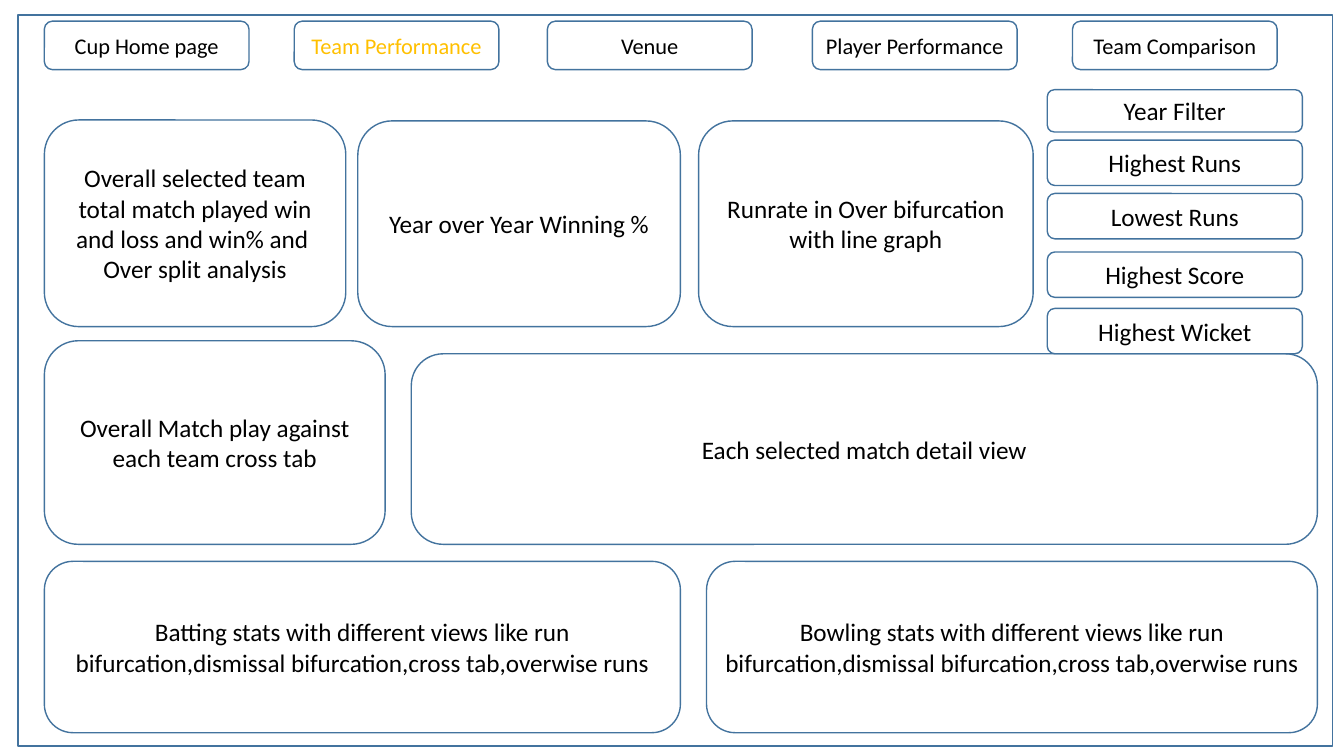
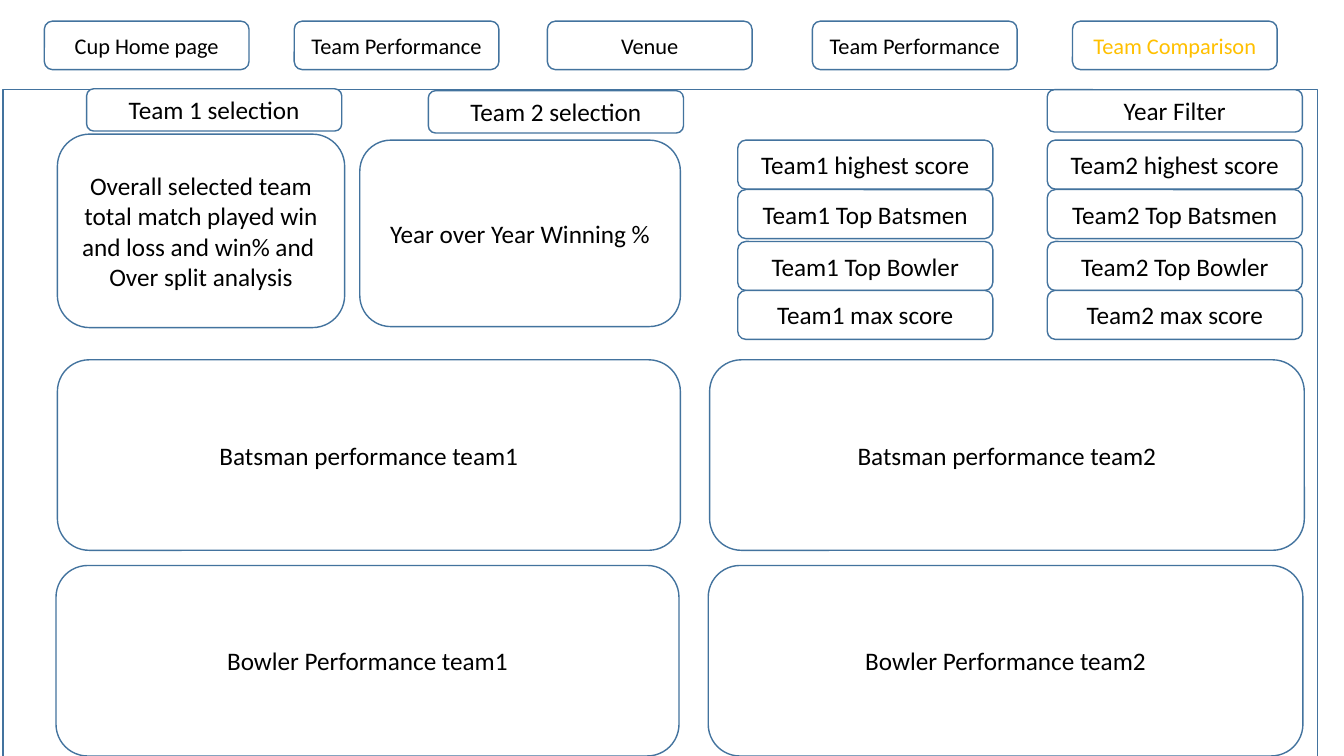
from pptx import Presentation
from pptx.dml.color import RGBColor
from pptx.enum.shapes import MSO_SHAPE as Preset
from pptx.enum.text import MSO_ANCHOR as Anchor, PP_ALIGN as Align
from pptx.util import Pt

COLORS = {"paper": "FFFFFF", "outline": "43739E", "text": "000000", "active": "FFC000"}
FONT = "Calibri"
NAV_SIZE, PANEL_SIZE = 16, 18

# Shared measures, in points
FRAME_SIZE = (939, 522)
NAV_BOX = (31.7, 15.1, 146.2, 34.6)
NAV_OFFSETS = (0, 178.5, 359.3, 548.6, 734.4)
CARD_WIDTH, SELECTOR_HEIGHT = 182.2, 30.2
RIGHT_CARDS_LEFT, FILTER_TOP, CARDS_TOP = 748.1, 64.1, 100.1

SUMMARY = ("Overall selected team total match played win and loss and win% and ",
           "Over split analysis")
YEARLY_WINS = "Year over Year Winning %"


def rgb(name):
    return RGBColor.from_string(COLORS[name])


def outlined(slide, preset, box):
    """Add a white shape with the shared thin outline."""
    shape = slide.shapes.add_shape(preset, *map(Pt, box))
    shape.shadow.inherit = False
    shape.fill.solid()
    shape.fill.fore_color.rgb = rgb("paper")
    shape.line.color.rgb = rgb("outline")
    shape.line.width = Pt(1)
    return shape


def panel(slide, box, *lines, size=PANEL_SIZE, color="text"):
    """Add a rounded box with one centred paragraph for each line."""
    frame = outlined(slide, Preset.ROUNDED_RECTANGLE, box).text_frame
    frame.word_wrap = True
    frame.vertical_anchor = Anchor.MIDDLE
    for index, line in enumerate(lines):
        paragraph = frame.add_paragraph() if index else frame.paragraphs[0]
        paragraph.alignment = Align.CENTER
        run = paragraph.add_run()
        run.text = line
        run.font.name, run.font.size = FONT, Pt(size)
        run.font.color.rgb = rgb(color)


def nav_bar(slide, box, labels, active):
    """Place the page tabs, the box being that of the first tab."""
    left, top, width, height = box
    for index, (offset, label) in enumerate(zip(NAV_OFFSETS, labels)):
        panel(slide, (left + offset, top, width, height), label, size=NAV_SIZE,
              color="active" if index == active else "text")


def card_stack(slide, box, offsets, labels):
    """Stack cards downwards, the box being that of the first card."""
    left, top, width, height = box
    for offset, label in zip(offsets, labels):
        panel(slide, (left, top + offset, width, height), label)


def selector(slide, left, top, label):
    panel(slide, (left, top, CARD_WIDTH, SELECTOR_HEIGHT), label)


def dashboard(deck, frame_at, fourth_tab, active):
    """Start a page with its frame, tabs and year filter."""
    slide = deck.slides.add_slide(deck.slide_layouts[6])
    outlined(slide, Preset.RECTANGLE, (*frame_at, *FRAME_SIZE))
    tabs = ("Cup Home page", "Team Performance", "Venue", fourth_tab, "Team Comparison")
    nav_bar(slide, NAV_BOX, tabs, active)
    selector(slide, RIGHT_CARDS_LEFT, FILTER_TOP, "Year Filter")
    return slide


def team_performance(deck):
    slide = dashboard(deck, (13, 10.8), "Player Performance", active=1)
    left, right = 31.7, 941

    # Overview row
    panel(slide, (left, 85.7, 215.3, 147.6), *SUMMARY)
    panel(slide, (255.6, 86.4, 230.4, 146.9), YEARLY_WINS)
    panel(slide, (499, 86.4, 239, 146.9), "Runrate in Over bifurcation with line graph")

    # Match row
    panel(slide, (left, 243.4, 243.4, 145.4), "Overall Match play against each team cross tab")
    panel(slide, (293.8, 252.7, right - 293.8, 136.1), "Each selected match detail view")

    # Statistics row
    for skill, start, end in (("Batting", left, 486), ("Bowling", 504.7, right)):
        panel(slide, (start, 401, end - start, 122.4),
              f"{skill} stats with different views like run "
              "bifurcation,dismissal bifurcation,cross tab,overwise runs")

    # Record cards
    card_stack(slide, (RIGHT_CARDS_LEFT, CARDS_TOP, CARD_WIDTH, 32.4),
               (0, 38.1, 79.9, 120.2),
               ("Highest Runs", "Lowest Runs", "Highest Score", "Highest Wicket"))


def team_comparison(deck):
    slide = dashboard(deck, (2.2, 64.1), "Team Performance", active=4)

    # Overview
    panel(slide, (41, 95.8, 205.2, 138.2), *SUMMARY)
    panel(slide, (257, 100.1, 229, 133.2), YEARLY_WINS)
    selector(slide, 61.9, 63.4, "Team 1 selection")
    selector(slide, 306, 64.8, "Team 2 selection")

    # One card stack and one pair of performance panels for each team
    teams = ((1, 527, 41, 445), (2, RIGHT_CARDS_LEFT, 506.9, 424.8))
    measures = ("highest score", "Top Batsmen", "Top Bowler", "max score")
    for team, cards_left, panel_left, panel_width in teams:
        card_stack(slide, (cards_left, CARDS_TOP, CARD_WIDTH, 35),
                   (0, 35.3, 72.4, 107.3),
                   [f"Team{team} {measure}" for measure in measures])
        panel(slide, (panel_left, 257, panel_width, 136.1),
              f"Batsman performance team{team}")
        panel(slide, (panel_left - 1, 403.9, panel_width, 136.1),
              f"Bowler Performance team{team}")


def main():
    deck = Presentation()
    deck.slide_width, deck.slide_height = Pt(960), Pt(540)
    team_performance(deck)
    team_comparison(deck)
    deck.save("out.pptx")


if __name__ == "__main__":
    main()
